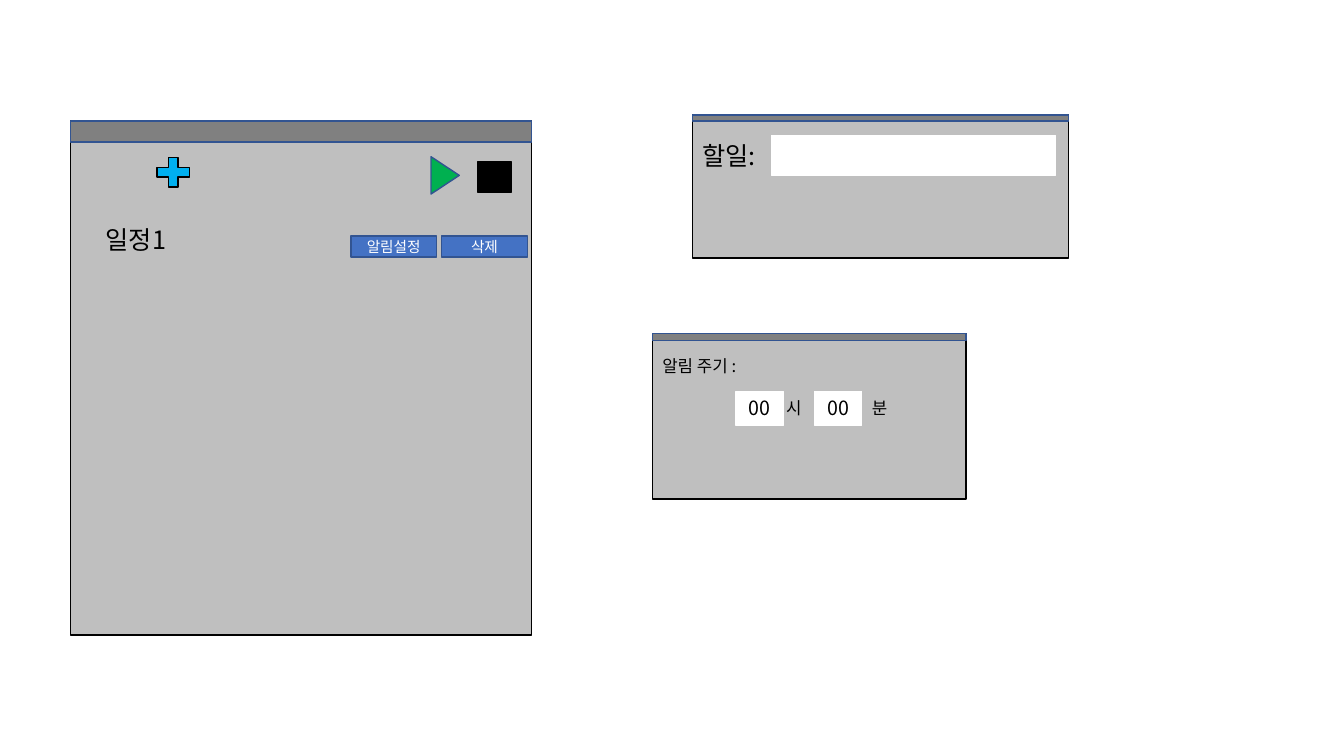
from lxml import etree
from pptx import Presentation
from pptx import util as u
from pptx.dml.color import RGBColor
from pptx.enum import shapes, text
from pptx.oxml.ns import qn

theme = {
    "font": "Noto Sans CJK KR",
    "black": "000000", "white": "FFFFFF", "gray": "BFBFBF", "bar": "808080",
    "navy": "325491", "blue": "4472C4", "sky": "00B0F0", "green": "00B050",
    "big": 18, "mid": 14, "small": 12, "tiny": 10.5,
}
kind = shapes.MSO_SHAPE
mid = text.MSO_ANCHOR.MIDDLE
top = text.MSO_ANCHOR.TOP
left = text.PP_ALIGN.LEFT
center = text.PP_ALIGN.CENTER

deck = Presentation()
deck.slide_width = u.Inches(13.33)
deck.slide_height = u.Inches(7.5)
slide = deck.slides.add_slide(deck.slide_layouts[6])


def draw(form, box, fill, line, width=1):
    item = slide.shapes.add_shape(form, *map(u.Inches, box))
    item.shadow.inherit = False
    item.fill.solid()
    item.fill.fore_color.rgb = RGBColor.from_string(theme[fill])
    item.line.color.rgb = RGBColor.from_string(theme[line])
    item.line.width = u.Pt(width)
    return item


def write(item, words, size, color="black", align=left, **frame):
    body = item.text_frame
    for key, value in {"word_wrap": True, "vertical_anchor": top, **frame}.items():
        setattr(body, key, value)
    para = body.paragraphs[0]
    para.alignment = align
    run = para.add_run()
    run.text = words
    for key, value in {"name": theme["font"], "size": u.Pt(theme[size])}.items():
        setattr(run.font, key, value)
    run.font.color.rgb = RGBColor.from_string(theme[color])
    east = etree.SubElement(run.font._element, qn("a:ea"))
    east.set("typeface", theme["font"])


windows = [
    (0.7, 1.2, 4.57, 5.1, 0.21, "", "big", 0),
    (6.87, 1.14, 3.73, 1.42, 0.06, "할일:", "big", 0.25),
    (6.47, 3.31, 3.11, 1.64, 0.07, "알림 주기 :", "small", 0.22),
]
for x, y, wide, high, bar, words, size, inset in windows:
    pane = draw(kind.RECTANGLE, (x, y, wide, high), "gray", "black")
    if words:
        write(pane, words, size, margin_top=u.Inches(inset))
    draw(kind.RECTANGLE, (x, y, wide, bar), "bar", "navy")

draw(kind.MATH_PLUS, (1.5, 1.51, 0.44, 0.4), "sky", "black")
play = draw(kind.ISOSCELES_TRIANGLE, (4.23, 1.6, 0.37, 0.28), "green", "navy")
play.rotation = 90
draw(kind.RECTANGLE, (4.74, 1.6, 0.33, 0.31), "black", "black")

for x, words in [(3.48, "알림설정"), (4.38, "삭제")]:
    button = draw(kind.RECTANGLE, (x, 2.34, 0.85, 0.21), "blue", "navy")
    write(button, words, "tiny", "white", center, vertical_anchor=mid)

draw(kind.RECTANGLE, (7.65, 1.34, 2.82, 0.4), "white", "white", 0.75)
for x in (7.3, 8.08):
    field = draw(kind.RECTANGLE, (x, 3.88, 0.47, 0.34), "white", "white", 0.75)
    write(field, "00", "mid", align=center)

labels = [
    (0.95, 2.18, 0.85, 0.4, "일정1", "big"),
    (7.7, 3.9, 0.37, 0.3, "시", "small"),
    (8.55, 3.9, 0.37, 0.3, "분", "small"),
]
for *box, words, size in labels:
    label = slide.shapes.add_textbox(*map(u.Inches, box))
    write(label, words, size)

deck.save("out.pptx")
